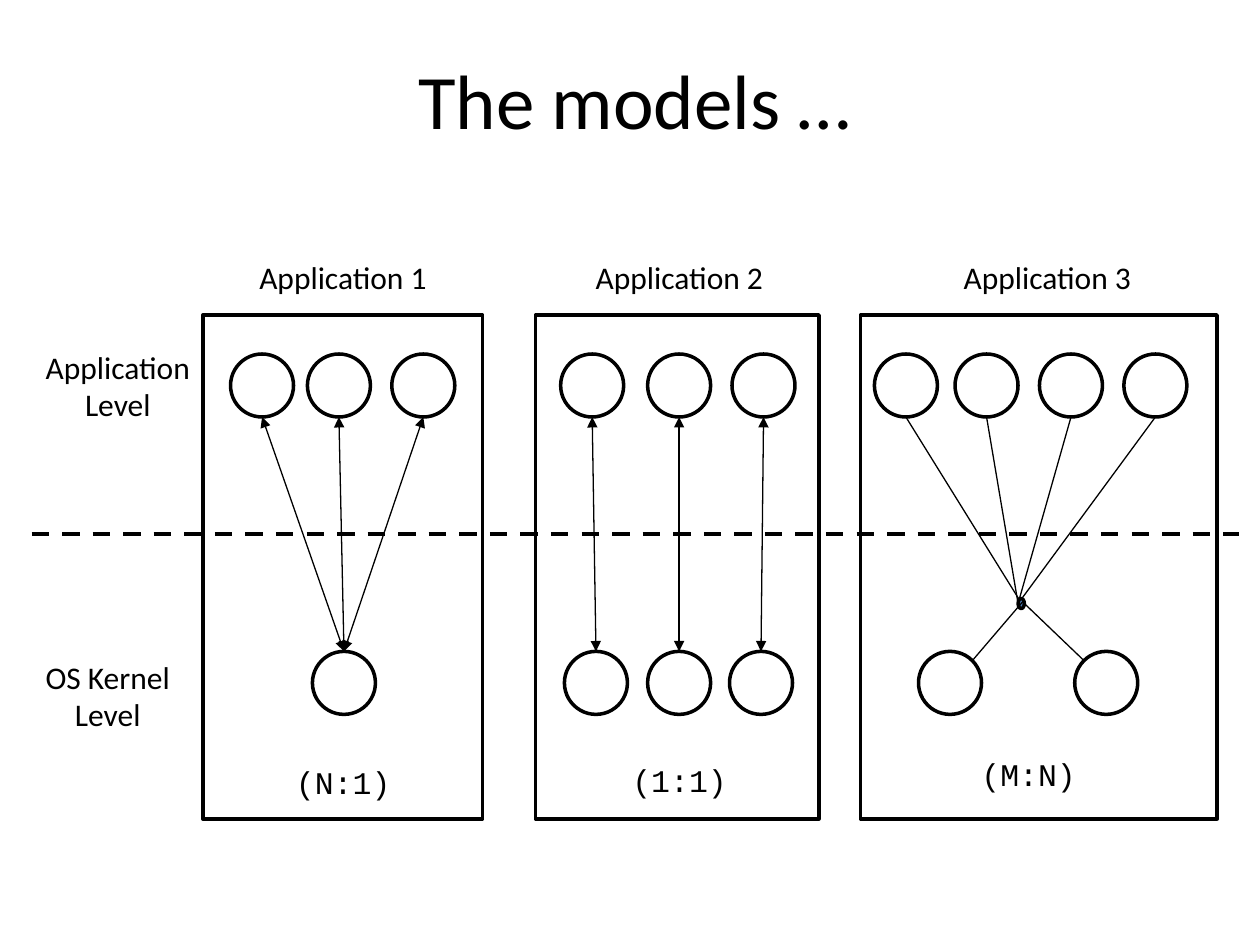
from dataclasses import dataclass

from lxml import etree
from pptx import Presentation
from pptx.dml.color import RGBColor
from pptx.enum.dml import MSO_LINE
from pptx.enum.shapes import MSO_CONNECTOR, MSO_SHAPE
from pptx.enum.text import MSO_ANCHOR, PP_ALIGN
from pptx.oxml.ns import qn
from pptx.util import Emu, Pt

PX = 9144
STRAIGHT = MSO_CONNECTOR.STRAIGHT
OVAL, RECT = MSO_SHAPE.OVAL, MSO_SHAPE.RECTANGLE
LEFT, CENTER = PP_ALIGN.LEFT, PP_ALIGN.CENTER
TOP, MIDDLE = MSO_ANCHOR.TOP, MSO_ANCHOR.MIDDLE
DASH = MSO_LINE.DASH


@dataclass(frozen=True)
class Theme:
    """Colours, fonts and sizes in points."""
    ink: RGBColor = RGBColor(0x00, 0x00, 0x00)
    hub: RGBColor = RGBColor(0x4F, 0x81, 0xBD)
    font: str = "Calibri"
    mono: str = "Courier New"
    title: int = 44
    body: int = 18
    link: float = 0.75
    outline: float = 2
    divider: float = 2.5


T = Theme()
THREAD = 50
APP_Y, KERNEL_Y = 31, 267


def px(*values):
    """Turn px lengths into EMU."""
    return [Emu(round(v * PX)) for v in values]


def add_text(s, text, box, size=T.body, font=T.font, align=LEFT, anchor=TOP, wrap=False):
    """Add a text box with one paragraph per line of text."""
    tf = s.shapes.add_textbox(*px(*box)).text_frame
    tf.word_wrap = wrap
    tf.vertical_anchor = anchor
    for i, line in enumerate(text.split("\n")):
        p = tf.add_paragraph() if i else tf.paragraphs[0]
        p.alignment = align
        r = p.add_run()
        r.text = line
        r.font.size = Pt(size)
        r.font.name = font
        r.font.color.rgb = T.ink


def add_outline(s, kind, box, fill=None):
    """Add an outlined preset shape."""
    sp = s.shapes.add_shape(kind, *px(*box))
    sp.shadow.inherit = False
    if fill is None:
        sp.fill.background()
    else:
        sp.fill.solid()
        sp.fill.fore_color.rgb = fill
    sp.line.color.rgb = T.ink
    sp.line.width = Pt(T.outline)


def add_line(s, start, end, width=T.link, dash=None, arrows=False):
    """Add a straight line, with arrowheads at both ends if asked."""
    c = s.shapes.add_connector(STRAIGHT, *px(*start, *end))
    c.line.color.rgb = T.ink
    c.line.width = Pt(width)
    if dash is not None:
        c.line.dash_style = dash
    if arrows:
        ln = c.line._get_or_add_ln()
        for tag in ("a:headEnd", "a:tailEnd"):
            etree.SubElement(ln, qn(tag), type="triangle")
    etree.SubElement(c._element.spPr, qn("a:effectLst"))


def add_panel(s, box, name, name_x, ratio, ratio_at, threads, kernel):
    """Draw one application box with its captions and both rows of threads."""
    x, y, _, _ = box
    add_outline(s, RECT, box)
    add_text(s, name, (x + name_x, y - 50, 153, 40))
    add_text(s, ratio, (x + ratio_at[0], y + ratio_at[1], 95, 40), font=T.mono)
    for row, row_y in ((threads, APP_Y), (kernel, KERNEL_Y)):
        for dx in row:
            add_outline(s, OVAL, (x + dx, y + row_y, THREAD, THREAD))


def add_direct_links(s, box, pairs):
    """Join application threads to kernel threads by double arrows."""
    x, y, _, _ = box
    mid = THREAD // 2
    for top, bottom in pairs:
        add_line(s, (x + top + mid, y + APP_Y + THREAD),
                 (x + bottom + mid, y + KERNEL_Y), arrows=True)


def add_hub_links(s, box, threads, kernel):
    """Join all threads of a box through one small hub."""
    x, y, _, _ = box
    add_outline(s, OVAL, (x + 125, y + 225, 5, 8), fill=T.hub)
    hub_ends = ((126, 226), (125, 229), (125, 229), (128, 225))
    for dx, (hx, hy) in zip(threads, hub_ends):
        add_line(s, (x + dx + THREAD // 2, y + APP_Y + THREAD), (x + hx, y + hy))
    corner = 7
    for dx, side, hy in zip(kernel, (THREAD - corner, corner), (226, 229)):
        add_line(s, (x + 130, y + hy), (x + dx + side, y + KERNEL_Y + corner))


def add_levels(s, box):
    """Draw the level names and the dashed divider between them."""
    x, y, w, _ = box
    add_line(s, (x, y + 153), (x + w, y + 153), width=T.divider, dash=DASH)
    add_text(s, "Application\nLevel", (x + 1, y, 135, 70), align=CENTER)
    add_text(s, "OS Kernel\nLevel", (x + 1, y + 246, 119, 70), align=CENTER)


def main():
    """Build the slide and save it."""
    prs = Presentation()
    prs.slide_width, prs.slide_height = px(1000, 750)
    s = prs.slides.add_slide(prs.slide_layouts[6])
    add_text(s, "The models …", (54, 16, 900, 125), size=T.title,
             align=CENTER, anchor=MIDDLE, wrap=True)
    add_levels(s, (25, 271, 958, 316))

    box, threads, kernel = (161, 250, 222, 400), (22, 83, 150), (87,)
    add_panel(s, box, "Application 1", 35, "(N:1)", (64, 351), threads, kernel)
    add_direct_links(s, box, [(dx, kernel[0]) for dx in threads])

    box, threads, kernel = (425, 250, 225, 400), (20, 89, 156), (23, 89, 154)
    add_panel(s, box, "Application 2", 38, "(1:1)", (67, 349), threads, kernel)
    add_direct_links(s, box, zip(threads, kernel))

    box, threads, kernel = (683, 250, 283, 400), (11, 75, 142, 209), (46, 170)
    add_panel(s, box, "Application 3", 72, "(M:N)", (86, 344), threads, kernel)
    add_hub_links(s, box, threads, kernel)

    prs.save("out.pptx")


if __name__ == "__main__":
    main()
